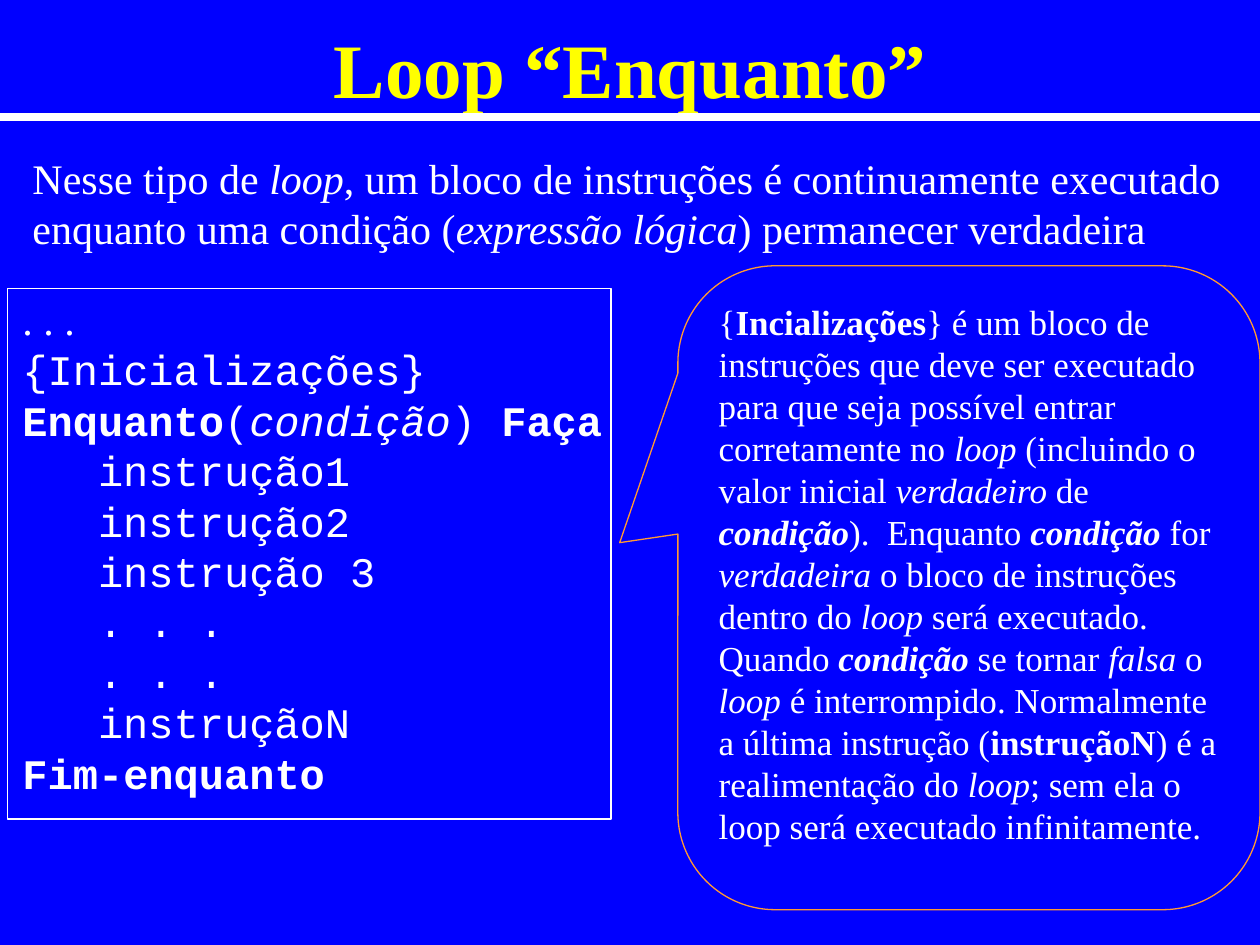
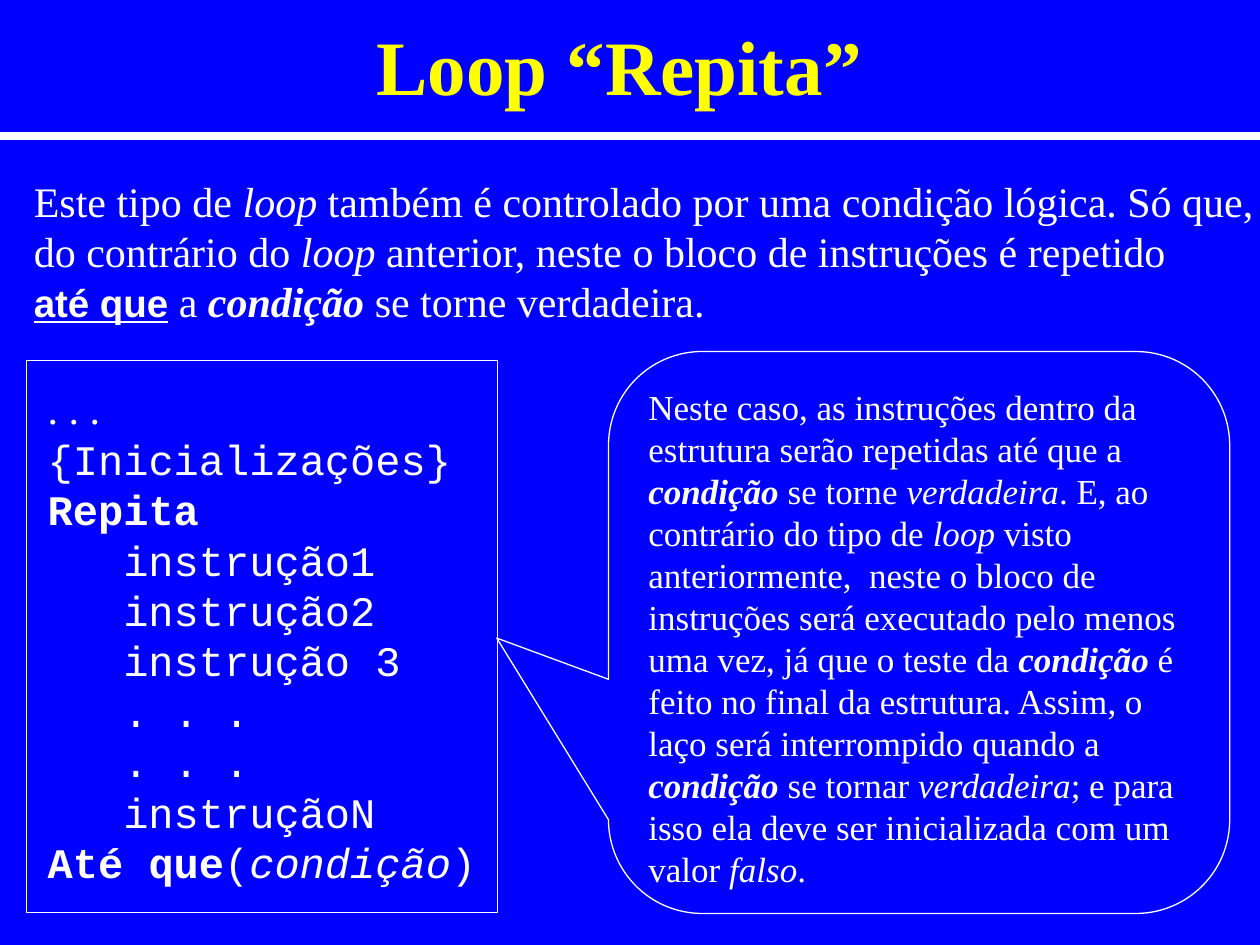
from dataclasses import dataclass
from itertools import chain

from lxml import etree
from pptx import Presentation
from pptx import util as u
from pptx.dml.color import RGBColor
from pptx.enum import shapes, text
from pptx.oxml.ns import qn

PX = 9144


@dataclass(frozen=True)
class Theme:
    """Colours, fonts and type sizes of the deck."""
    back: str = "0000FF"
    gold: str = "FFFF00"
    white: str = "FFFFFF"
    amber: str = "FF9933"
    serif: str = "Times New Roman"
    mono: str = "Courier New"
    sans: str = "Arial"
    head: int = 44
    body: int = 24
    note: int = 20
    key: int = 22
    indent: int = 60


def split(line, marks):
    """Yield pieces of a line with the marks that are open around each."""
    on, piece = set(), ""
    for char in chain(line, [None]):
        if char is None or char in marks:
            if piece:
                yield piece, frozenset(on)
            piece = ""
            on ^= {char}
        else:
            piece += char


def write(frame, lines, theme, font=None, size=None, color=None, bold=False,
          align=text.PP_ALIGN.LEFT, anchor=text.MSO_ANCHOR.TOP, wrap=True):
    """Fill a frame: * bold, _ italic, ~ key word, ^ serif, leading tab indent."""
    marks = {
        "*": {"bold": True},
        "_": {"italic": True},
        "^": {"name": theme.serif},
        "~": {"name": theme.sans, "size": u.Pt(theme.key), "bold": True, "underline": True},
    }
    base = {"name": font or theme.serif, "size": u.Pt(size or theme.body), "bold": bold}
    frame.word_wrap = wrap
    frame.vertical_anchor = anchor
    for i, line in enumerate(lines):
        para = frame.paragraphs[0] if i == 0 else frame.add_paragraph()
        para.alignment = align
        if line.startswith("\t"):
            para._p.get_or_add_pPr().set("marL", str(theme.indent * PX))
        for piece, on in split(line.lstrip("\t"), marks):
            run = para.add_run()
            run.text = piece
            look = dict(base)
            for mark in on:
                look.update(marks[mark])
            for name, value in look.items():
                setattr(run.font, name, value)
            run.font.color.rgb = RGBColor.from_string(color or theme.white)


class Deck:
    """Holds the style and the current slide."""

    def __init__(self, theme):
        self.theme = theme
        self.pres = Presentation()
        self.pres.slide_width, self.pres.slide_height = 1000 * PX, 750 * PX
        self.slide = None

    def page(self):
        """Start a slide with the shared background."""
        self.slide = self.pres.slides.add_slide(self.pres.slide_layouts[6])
        fill = self.slide.background.fill
        fill.solid()
        fill.fore_color.rgb = RGBColor.from_string(self.theme.back)

    def label(self, box, lines, **form):
        """Add a text box."""
        item = self.slide.shapes.add_textbox(*(n * PX for n in box))
        write(item.text_frame, lines, self.theme, **form)

    def title(self, box, words):
        """Add the slide heading."""
        self.label(box, [words], size=self.theme.head, color=self.theme.gold, bold=True,
                   align=text.PP_ALIGN.CENTER, anchor=text.MSO_ANCHOR.MIDDLE)

    def rule(self, top):
        """Add the full-width line under the heading."""
        line = self.slide.shapes.add_connector(
            shapes.MSO_CONNECTOR.STRAIGHT, 0, top * PX, 1000 * PX, top * PX)
        line.line.width = u.Pt(4.5)
        line.line.color.rgb = RGBColor.from_string(self.theme.white)
        etree.SubElement(line._element.spPr, qn("a:effectLst"))

    def shape(self, kind, box, color, width=0.75):
        """Add an outlined shape without fill."""
        item = self.slide.shapes.add_shape(kind, *(n * PX for n in box))
        item.shadow.inherit = False
        item.fill.background()
        item.line.width = u.Pt(width)
        item.line.color.rgb = RGBColor.from_string(color)
        return item

    def frame(self, box, width):
        """Add the frame around the code."""
        self.shape(shapes.MSO_SHAPE.RECTANGLE, box, self.theme.white, width)

    def code(self, box, start, end):
        """Add the loop in pseudocode between its two key lines."""
        steps = ["instrução1", "instrução2", "instrução 3", ". . .", ". . .", "instruçãoN"]
        lines = ["^. . .^", "{Inicializações}", start, *("\t" + s for s in steps), end]
        self.label(box, lines, font=self.theme.mono)

    def note(self, box, tip, words, color):
        """Add a rounded callout with its tip at the given offset."""
        item = self.shape(shapes.MSO_SHAPE.ROUNDED_RECTANGULAR_CALLOUT, box, color)
        for i, value in enumerate((*tip, 0.167)):
            item.adjustments[i] = value
        write(item.text_frame, [words], self.theme, size=self.theme.note)


def main():
    """Build both slides and save them."""
    theme = Theme()
    deck = Deck(theme)

    deck.page()
    deck.title((22, 11, 957, 85), "Loop “Enquanto”")
    deck.rule(93)
    deck.label((16, 116, 963, 90), [
        "Nesse tipo de _loop_, um bloco de instruções é continuamente executado",
        "enquanto uma condição (_expressão lógica_) permanecer verdadeira",
    ], wrap=False)
    deck.code((8, 228, 487, 410), "*Enquanto*(_condição_) *Faça*", "*Fim-enquanto*")
    deck.note((538, 211, 462, 511), (-0.6, -0.07), (
        "{*Incializações*} é um bloco de instruções que deve ser executado para que seja "
        "possível entrar corretamente no _loop_ (incluindo o valor inicial _verdadeiro_ de "
        "*_condição_*).  Enquanto *_condição_* for _verdadeira_ o bloco de instruções dentro "
        "do _loop_ será executado. Quando *_condição_* se tornar _falsa_ o _loop_ é "
        "interrompido. Normalmente a última instrução (*instruçãoN*) é a realimentação do "
        "_loop_; sem ela o loop será executado infinitamente."), theme.amber)
    deck.frame((6, 229, 479, 421), 1)

    deck.page()
    deck.title((11, 15, 961, 72), "Loop “Repita”")
    deck.rule(108)
    deck.label((17, 134, 988, 130), [
        "Este tipo de _loop_ também é controlado por uma condição lógica. Só que,",
        "do contrário do _loop_ anterior, neste o bloco de instruções é repetido",
        "~até que~ a *_condição_* se torne verdadeira.",
    ], wrap=False)
    deck.code((28, 299, 388, 410), "*Repita*", "*Até que*(_condição_)")
    deck.frame((21, 286, 374, 438), 0.75)
    deck.note((483, 279, 493, 446), (-0.68, 0.01), (
        "Neste caso, as instruções dentro da estrutura serão repetidas até que a "
        "*_condição_* se torne _verdadeira_. E, ao contrário do tipo de _loop_ visto "
        "anteriormente,  neste o bloco de instruções será executado pelo menos uma vez, já "
        "que o teste da *_condição_* é feito no final da estrutura. Assim, o laço será "
        "interrompido quando a *_condição_* se tornar _verdadeira_; e para isso ela deve ser "
        "inicializada com um valor _falso_."), theme.white)

    deck.pres.save("out.pptx")


if __name__ == "__main__":
    main()
